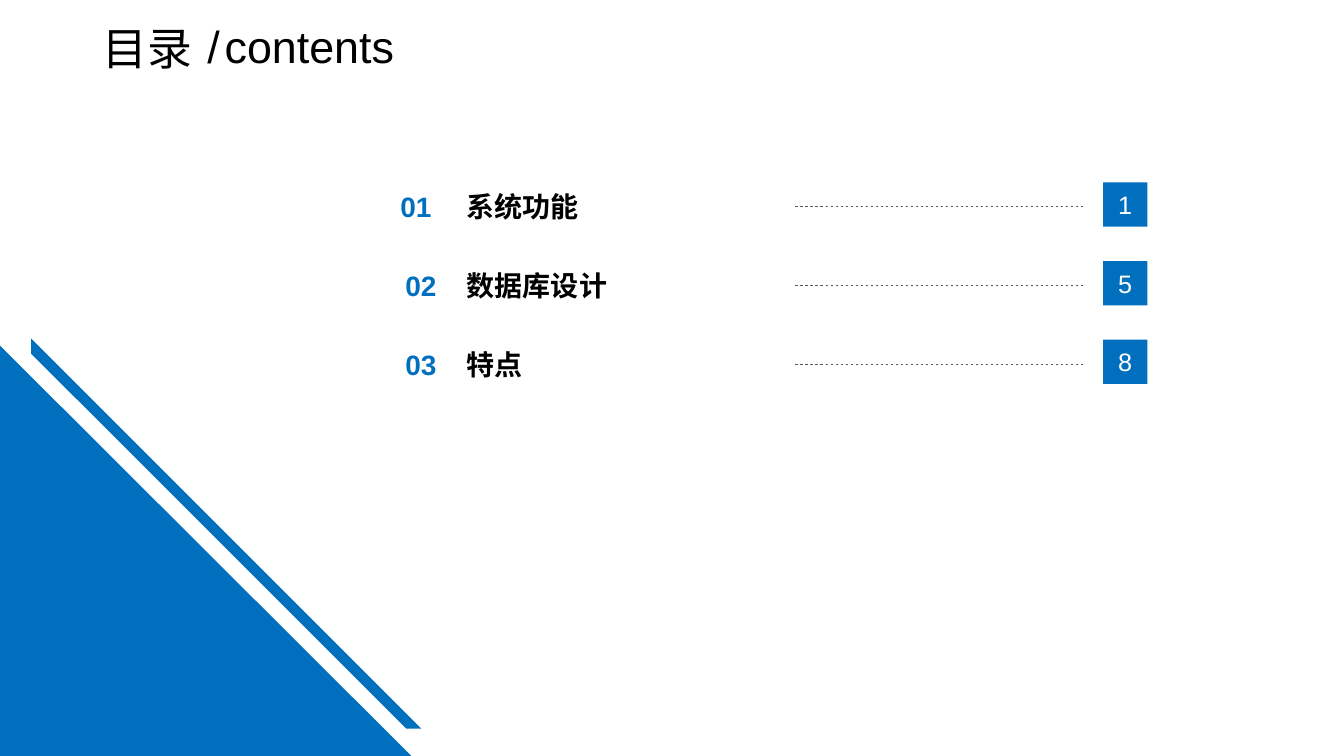
from lxml import etree
from pptx import Presentation
from pptx import util as u
from pptx.dml.color import RGBColor
from pptx.enum import dml, shapes, text
from pptx.oxml.ns import qn

BLUE = "0070BE"
BLACK = "000000"
WHITE = "FFFFFF"
GREY = "595959"
ENTRIES = [
    ("01", "系统功能", "1", 3.97),
    ("02", "数据库设计", "5", 4.02),
    ("03", "特点", "8", 4.02),
]
TITLE_PARTS = [("目录", 0.92, 1.22, 1.02), ("/", 1.96, 0.46, 0.98), ("contents", 2.13, 2, 0.98)]
FIRST_TOP = 1.83
ROW_STEP = 0.78
ROW_HEIGHT = 0.44
BAND = [(0.31, 3.36), (4.18, 7.23), (4.03, 7.23), (0.31, 3.51)]
CORNER = [(0, 3.43), (4.08, 7.5), (0, 7.5)]


def color(value):
    return RGBColor.from_string(value)


def fill_shape(shape, value):
    shape.shadow.inherit = False
    shape.fill.solid()
    shape.fill.fore_color.rgb = color(value)
    shape.line.fill.background()


def write(shape, words, size, value, bold=False, inset=0.0):
    frame = shape.text_frame
    frame.word_wrap = True
    frame.vertical_anchor = text.MSO_ANCHOR.MIDDLE
    frame.margin_left = frame.margin_right = u.Inches(inset)
    frame.margin_top = frame.margin_bottom = u.Inches(inset / 2)
    para = frame.paragraphs[0]
    para.text = words
    para.font.name = "Arial"
    para.font.size = u.Pt(size)
    para.font.bold = bold
    para.font.color.rgb = color(value)
    return para


def add_label(page, words, left, top, width, height, size, value, bold=False, inset=0.0):
    box = page.shapes.add_textbox(*map(u.Inches, (left, top, width, height)))
    return write(box, words, size, value, bold, inset)


def add_leader(page, left, right, y):
    line = page.shapes.add_connector(
        shapes.MSO_CONNECTOR.STRAIGHT, *map(u.Inches, (left, y, right, y))
    )
    line.line.color.rgb = color(GREY)
    line.line.width = u.Pt(0.5)
    line.line.dash_style = dml.MSO_LINE.DASH
    etree.SubElement(line._element.spPr, qn("a:effectLst"))


def add_page_number(page, words, left, top, side):
    square = page.shapes.add_shape(
        shapes.MSO_SHAPE.RECTANGLE, *map(u.Inches, (left, top, side, side))
    )
    fill_shape(square, BLUE)
    write(square, words, 18, WHITE).alignment = text.PP_ALIGN.CENTER


def add_corner(page):
    corner, band = (
        [(u.Inches(x), u.Inches(y)) for x, y in points] for points in (CORNER, BAND)
    )
    builder = page.shapes.build_freeform(*corner[0])
    builder.add_line_segments(corner[1:])
    builder.move_to(*band[0])
    builder.add_line_segments(band[1:])
    fill_shape(builder.convert_to_shape(), BLUE)


def add_entry(page, top, number, name, page_number, number_left):
    add_label(page, name, 4.63, top, 3.25, ROW_HEIGHT, 20, BLACK, True)
    add_leader(page, 7.89, 10.76, top + ROW_HEIGHT / 2)
    add_page_number(page, page_number, 10.94, top - 0.02, ROW_HEIGHT)
    add_label(page, number, number_left, top, 0.45, ROW_HEIGHT, 20, BLUE, True)


def main():
    deck = Presentation()
    deck.slide_width = u.Inches(13.33)
    deck.slide_height = u.Inches(7.5)
    page = deck.slides.add_slide(deck.slide_layouts[6])
    add_corner(page)
    for row, entry in enumerate(ENTRIES):
        add_entry(page, FIRST_TOP + row * ROW_STEP, *entry)
    for words, left, width, height in TITLE_PARTS:
        para = add_label(page, words, left, 0, width, height, 32, BLACK, inset=0.1)
        para.line_spacing = 0.9
    deck.save("out.pptx")


if __name__ == "__main__":
    main()
